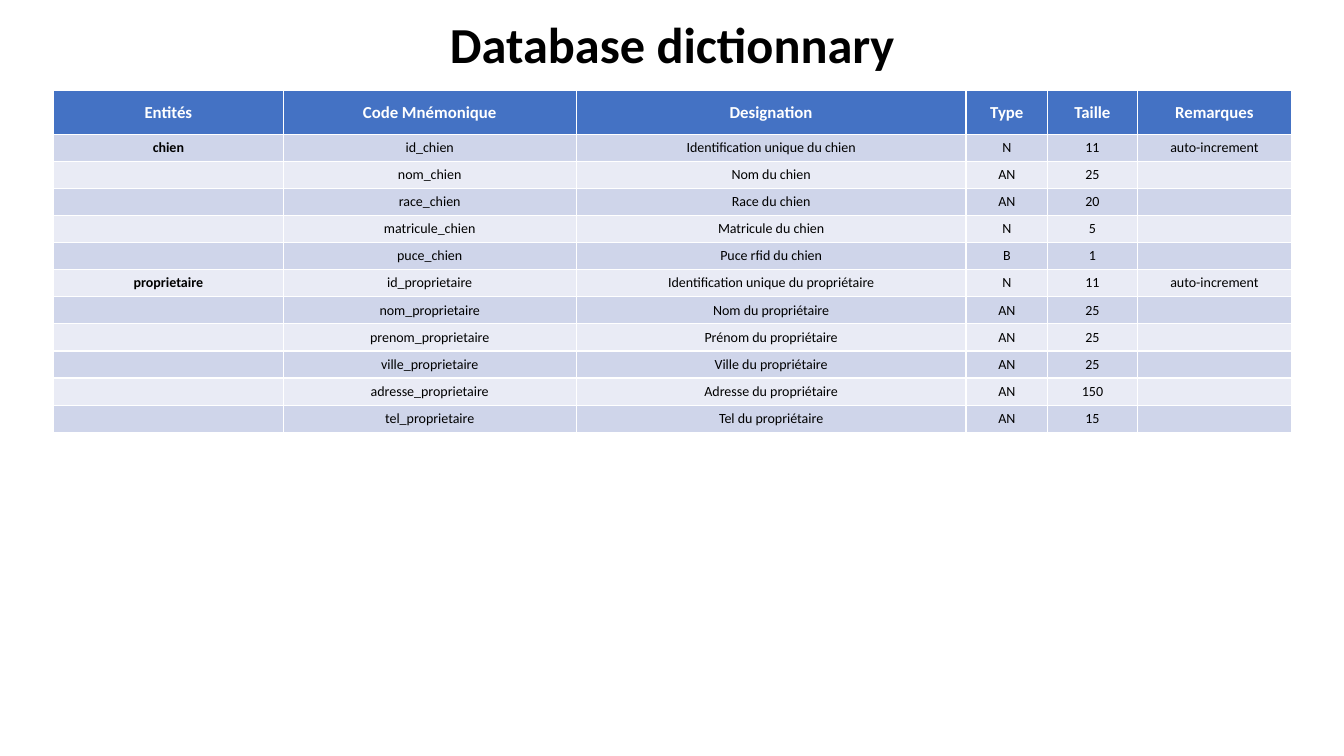
from dataclasses import dataclass

from lxml import etree
from pptx import Presentation
from pptx import util as u
from pptx.dml.color import RGBColor
from pptx.enum import text
from pptx.oxml import ns


@dataclass(frozen=True)
class Theme:
    font: str = "Calibri"
    black: str = "000000"
    white: str = "FFFFFF"
    header: str = "4472C4"
    bands: tuple = ("CFD5EA", "E9EBF5")
    title_size: int = 36
    header_size: int = 12
    body_size: int = 10


THEME = Theme()
COLUMN_WIDTHS = (5.79, 7.39, 9.83, 2.06, 2.26, 3.89)
HEADER_HEIGHT = 1.09
ROW_HEIGHT = 0.68
HEADINGS = ("Entités", "Code Mnémonique", "Designation", "Type", "Taille", "Remarques")
FIELDS = (
    ("chien", "id_chien", "Identification unique du chien", "N", "11", "auto-increment"),
    ("", "nom_chien", "Nom du chien", "AN", "25", ""),
    ("", "race_chien", "Race du chien", "AN", "20", ""),
    ("", "matricule_chien", "Matricule du chien", "N", "5", ""),
    ("", "puce_chien", "Puce rfid du chien", "B", "1", ""),
    ("proprietaire", "id_proprietaire", "Identification unique du propriétaire", "N", "11", "auto-increment"),
    ("", "nom_proprietaire", "Nom du propriétaire", "AN", "25", ""),
    ("", "prenom_proprietaire", "Prénom du propriétaire", "AN", "25", ""),
    ("", "ville_proprietaire", "Ville du propriétaire", "AN", "25", ""),
    ("", "adresse_proprietaire", "Adresse du propriétaire", "AN", "150", ""),
    ("", "tel_proprietaire", "Tel du propriétaire", "AN", "15", ""),
)


def format_paragraph(paragraph, size, color, bold):
    paragraph.alignment = text.PP_ALIGN.CENTER
    font = paragraph.font
    font.name = THEME.font
    font.size = u.Pt(size)
    font.bold = bold
    font.color.rgb = RGBColor.from_string(color)


def add_title(slide, wording, left, top, width, height):
    title = slide.shapes.title
    title.left, title.top = u.Cm(left), u.Cm(top)
    title.width, title.height = u.Cm(width), u.Cm(height)
    frame = title.text_frame
    frame.text = wording
    frame.auto_size = text.MSO_AUTO_SIZE.NONE
    frame.vertical_anchor = text.MSO_ANCHOR.MIDDLE
    paragraph = frame.paragraphs[0]
    paragraph.line_spacing = 0.9
    format_paragraph(paragraph, THEME.title_size, THEME.black, True)


def fill_cell(cell, wording, fill, size, color, bold):
    cell.fill.solid()
    cell.fill.fore_color.rgb = RGBColor.from_string(fill)
    cell.vertical_anchor = text.MSO_ANCHOR.MIDDLE
    cell.text = wording
    paragraph = cell.text_frame.paragraphs[0]
    format_paragraph(paragraph, size, color, bold)
    if not wording:
        etree.SubElement(paragraph._p, ns.qn("a:endParaRPr"), sz=str(size * 100))


def add_dictionary(slide, left, top, width):
    height = HEADER_HEIGHT + ROW_HEIGHT * len(FIELDS)
    table = slide.shapes.add_table(
        len(FIELDS) + 1, len(HEADINGS),
        u.Cm(left), u.Cm(top), u.Cm(width), u.Cm(height),
    ).table
    scale = width / sum(COLUMN_WIDTHS)
    for column, column_width in zip(table.columns, COLUMN_WIDTHS):
        column.width = u.Cm(column_width * scale)
    for row in table.rows:
        row.height = u.Cm(ROW_HEIGHT)
    table.rows[0].height = u.Cm(HEADER_HEIGHT)

    for column, heading in enumerate(HEADINGS):
        fill_cell(table.cell(0, column), heading, THEME.header,
                  THEME.header_size, THEME.white, True)
    for row, field in enumerate(FIELDS):
        band = THEME.bands[row % 2]
        for column, wording in enumerate(field):
            fill_cell(table.cell(row + 1, column), wording, band,
                      THEME.body_size, THEME.black, column == 0)


def main():
    presentation = Presentation()
    presentation.slide_width = u.Cm(33.87)
    presentation.slide_height = u.Cm(19.05)
    slide = presentation.slides.add_slide(presentation.slide_layouts[5])
    add_title(slide, "Database dictionnary", 2.34, -0.64, 29.21, 3.68)
    add_dictionary(slide, 1.35, 2.29, 31.2)
    presentation.save("out.pptx")


if __name__ == "__main__":
    main()
